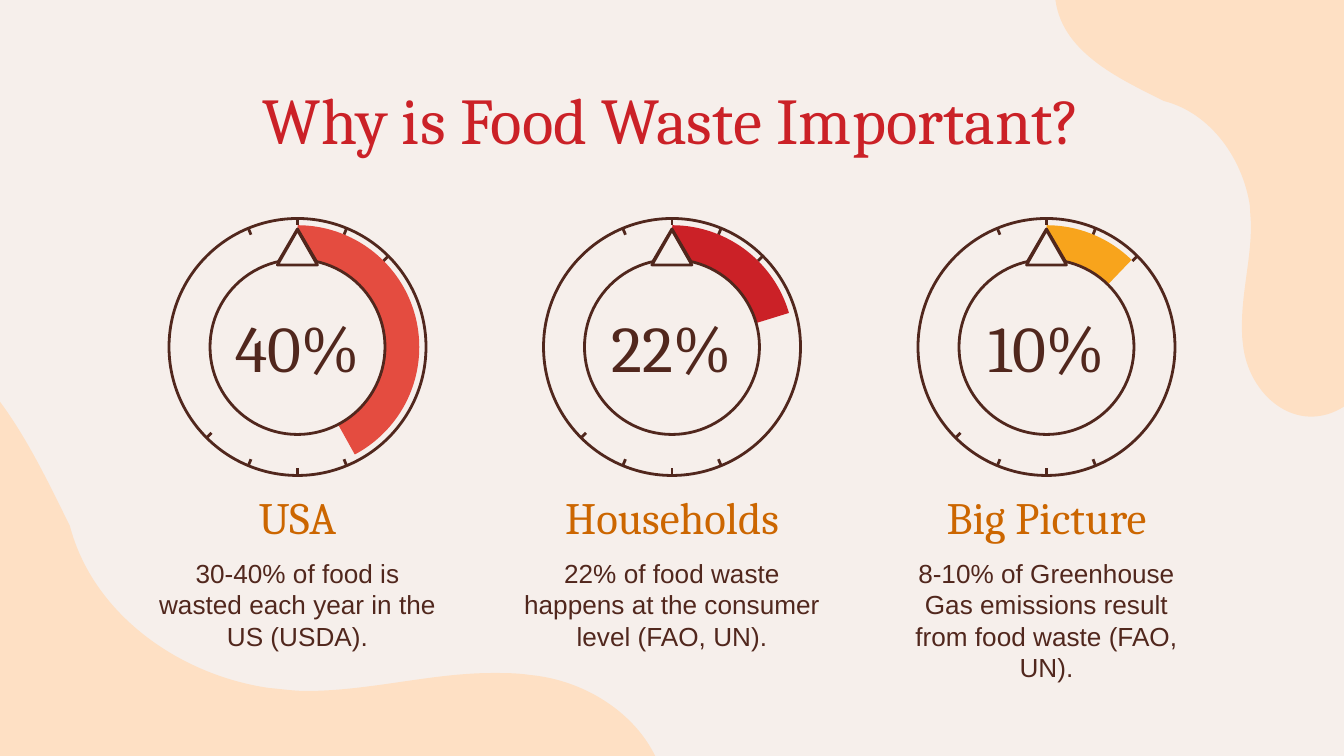
import math
from lxml import etree
from pptx import Presentation
from pptx import util as u
from pptx.dml import color
from pptx.enum import shapes, text
from pptx.oxml import ns

TITLE = "Why is Food Waste Important?"
GAUGES = [
    dict(value="40%", label="USA", hue="E44C40", end=62.1, width=320,
         body="30-40% of food is wasted each year in the US (USDA)."),
    dict(value="22%", label="Households", hue="CB2127", end=343.9, width=331,
         body="22% of food waste happens at the consumer level (FAO, UN)."),
    dict(value="10%", label="Big Picture", hue="F8A41C", end=314.4, width=320,
         body="8-10% of Greenhouse Gas emissions result from food waste (FAO, UN)."),
]
LEFT_BLOB = [
    (-132, 320),
    (-24, 327), (27, 439), (70, 526), (93, 614), (179, 675), (269, 688),
    (281, 689), (294, 691), (306, 691), (370, 691), (431, 673), (493, 673),
    (505, 673), (517, 673), (530, 675), (626, 684), (706, 777), (645, 868),
    (585, 961), (461, 961), (362, 973), (325, 977), (289, 980), (253, 980),
    (30, 980), (-208, 892), (-261, 656), (-289, 547), (-271, 337), (-132, 320)]
RIGHT_BLOB = [
    (1055, -5),
    (1059, 51), (1118, 78), (1164, 101), (1211, 113), (1243, 159), (1250, 206),
    (1250, 212), (1251, 219), (1251, 226), (1251, 259), (1242, 292), (1242, 325),
    (1242, 332), (1242, 337), (1243, 344), (1248, 395), (1297, 437), (1345, 406),
    (1394, 374), (1394, 308), (1400, 255), (1402, 237), (1404, 216), (1404, 198),
    (1404, 81), (1357, -46), (1232, -74), (1175, -89), (1064, -79), (1055, -5)]
CREAM, PEACH, BROWN = "F6EFEB", "FEE0C4", "51271D"
RED, ORANGE = "CB2127", "CC6600"
TICKS = (0, 180, 45, 225, 22.5, 202.5, 337.5, 157.5)
MIDDLE_X, MIDDLE_Y, STEP = 672, 347, 374.5
RING, TICK_START, ARC, HUB = 128.5, 121.5, 105, 87.5

HEADING = dict(name="Cambria", size=u.Pt(35))
LABEL = dict(name="Cambria", size=u.Pt(24))
BODY = dict(name="Arial", size=u.Pt(14))


def px(value):
    return round(value * 914400 / 134.4)


def rgb(value):
    return color.RGBColor.from_string(value)


def set_line(shape, hue, points):
    shape.line.color.rgb = rgb(hue)
    shape.line.width = u.Pt(points)


def quarter_turn(points):
    xs, ys = zip(*points)
    x, y = (min(xs) + max(xs)) / 2, (min(ys) + max(ys)) / 2
    return [(x - (b - y), y + (a - x)) for a, b in points]


def add_blob(page, points, rotation=0):
    start, *rest = [(px(x), px(y)) for x, y in points]
    builder = page.shapes.build_freeform(*start)
    builder.add_line_segments(rest)
    blob = builder.convert_to_shape()
    lines = list(blob._element.iter(ns.qn("a:lnTo")))[:len(rest)]
    for i in range(0, len(lines), 3):
        curve = etree.Element(ns.qn("a:cubicBezTo"))
        lines[i].addprevious(curve)
        for line in lines[i:i + 3]:
            curve.append(line[0])
            line.getparent().remove(line)
    blob.rotation = rotation
    blob.shadow.inherit = False
    blob.fill.solid()
    blob.fill.fore_color.rgb = rgb(PEACH)
    blob.line.fill.background()


def add_outlined(parent, kind, x, y, width, height):
    shape = parent.shapes.add_shape(kind, px(x), px(y), px(width), px(height))
    shape.shadow.inherit = False
    shape.fill.solid()
    shape.fill.fore_color.rgb = rgb(CREAM)
    set_line(shape, BROWN, 1.5)
    return shape


def add_circle(parent, x, radius, kind=shapes.MSO_SHAPE.OVAL):
    return add_outlined(parent, kind, x - radius, MIDDLE_Y - radius, 2 * radius, 2 * radius)


def add_pointer(parent, x, y, width, height):
    add_outlined(parent, shapes.MSO_SHAPE.FLOWCHART_EXTRACT, x - width / 2, y, width, height)


def add_tick(parent, x, degrees):
    dx, dy = math.sin(math.radians(degrees)), -math.cos(math.radians(degrees))
    ends = [px(v) for r in (RING, TICK_START) for v in (x + r * dx, MIDDLE_Y + r * dy)]
    tick = parent.shapes.add_connector(shapes.MSO_CONNECTOR.STRAIGHT, *ends)
    set_line(tick, BROWN, 1.5)
    etree.SubElement(tick._element.spPr, ns.qn("a:effectLst"))


def add_ring(page, x):
    group = page.shapes.add_group_shape()
    add_circle(group, x, RING)
    for degrees in TICKS:
        add_tick(group, x, degrees)


def add_dial(page, x, gauge):
    arc = add_circle(page, x, ARC, shapes.MSO_SHAPE.ARC)
    arc.fill.background()
    set_line(arc, gauge["hue"], 18)
    arc.adjustments[0] = 270 * 0.6
    arc.adjustments[1] = gauge["end"] * 0.6
    group = page.shapes.add_group_shape()
    add_pointer(group, x, 229, 42, 36)
    add_circle(group, x, HUB)
    add_pointer(group, x, 230, 40, 35)


def write(box, words, font, hue, anchor):
    frame = box.text_frame
    settings = dict(word_wrap=True, auto_size=text.MSO_AUTO_SIZE.NONE, vertical_anchor=anchor)
    settings.update({f"margin_{side}": u.Inches(0.1)
                     for side in ("left", "right", "top", "bottom")})
    for key, value in settings.items():
        setattr(frame, key, value)
    para = frame.paragraphs[0]
    para.alignment = text.PP_ALIGN.CENTER
    span = para.add_run()
    span.text = words
    for key, value in font.items():
        setattr(span.font, key, value)
    span.font.color.rgb = rgb(hue)


def add_text(page, x, y, width, height, *style):
    box = page.shapes.add_textbox(px(x - width / 2), px(y), px(width), px(height))
    write(box, *style)


def add_captions(page, x, gauge):
    anchors = text.MSO_ANCHOR
    add_text(page, x, 544, gauge["width"], 112, gauge["body"], BODY, BROWN, anchors.TOP)
    add_text(page, x, 492, 320, 65, gauge["label"], LABEL, ORANGE, anchors.BOTTOM)


def add_title(page):
    title = page.shapes.title
    place = dict(left=106, top=66, width=1132, height=85)
    for key, value in place.items():
        setattr(title, key, px(value))
    write(title, TITLE, HEADING, RED, text.MSO_ANCHOR.TOP)
    page.shapes._spTree.append(title._element)


def main():
    deck = Presentation()
    deck.slide_width, deck.slide_height = px(1344), px(756)
    page = deck.slides.add_slide(deck.slide_layouts[5])
    page.background.fill.solid()
    page.background.fill.fore_color.rgb = rgb(CREAM)
    add_blob(page, LEFT_BLOB)
    add_blob(page, quarter_turn(RIGHT_BLOB), 270)
    columns = [(MIDDLE_X + (i - 1) * STEP, gauge) for i, gauge in enumerate(GAUGES)]
    for x, gauge in reversed(columns):
        add_ring(page, x)
    for x, gauge in reversed(columns):
        add_dial(page, x, gauge)
    for x, gauge in columns:
        add_captions(page, x, gauge)
    add_title(page)
    for x, gauge in columns:
        add_text(page, x, 317, 175, 59, gauge["value"], HEADING, BROWN, text.MSO_ANCHOR.MIDDLE)
    deck.save("out.pptx")


if __name__ == "__main__":
    main()
